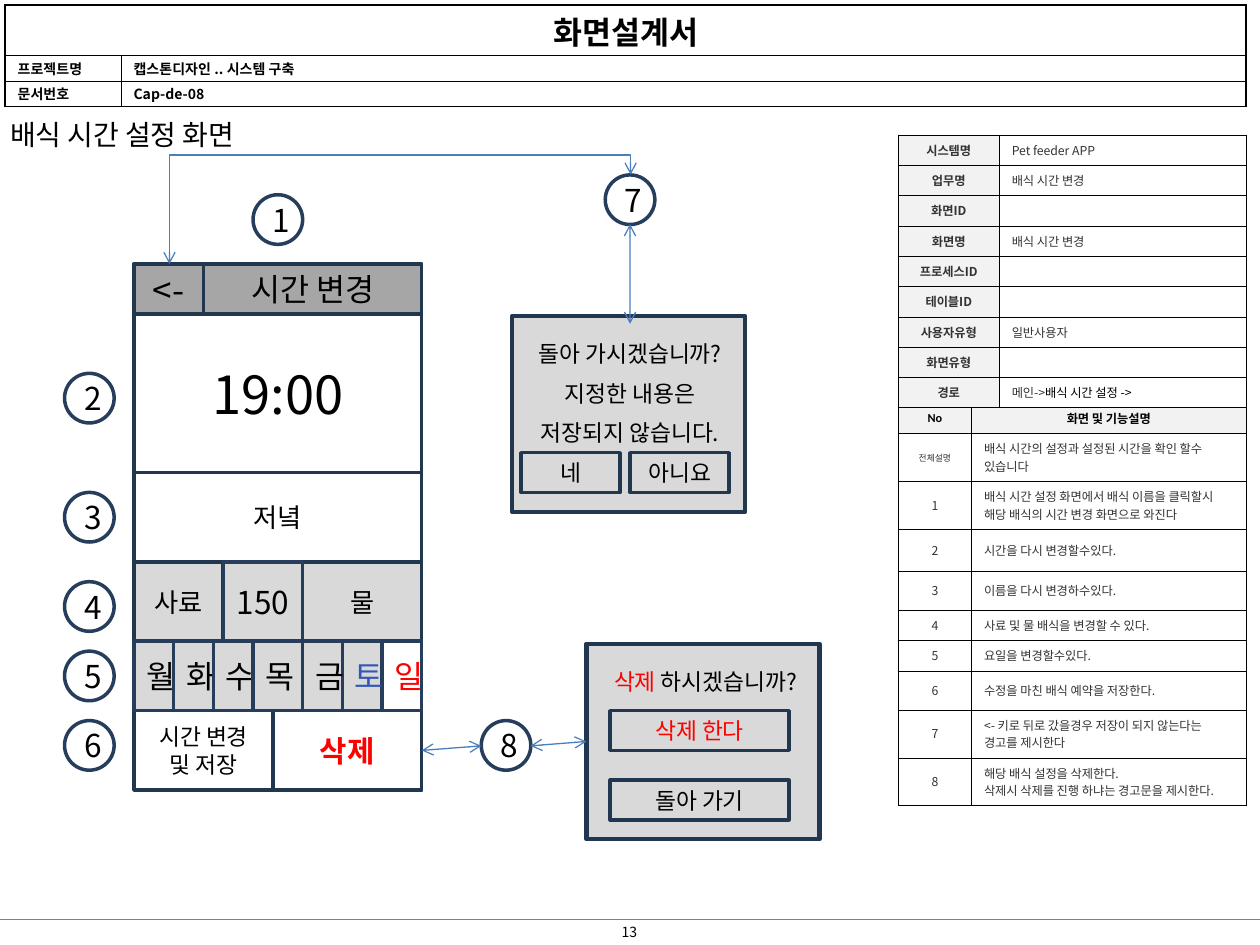
from lxml import etree
from pptx import Presentation
from pptx import util as u
from pptx.dml.color import RGBColor
from pptx.enum import shapes, text
from pptx.oxml.ns import qn

FACE = "Noto Sans CJK KR"
COLORS = {
    "black": "000000", "ink": "333333", "red": "FF0000", "blue": "3057B9",
    "white": "FFFFFF", "head": "F2F2F2", "panel": "D9D9D9", "bar": "A6A6A6",
    "frame": "21364F", "ring": "263E5B", "arrow": "4B7EBC", "rule": "808080",
}
RGB = {name: RGBColor.from_string(value) for name, value in COLORS.items()}
LEFT, CENTER = text.PP_ALIGN.LEFT, text.PP_ALIGN.CENTER
RECT, OVAL = shapes.MSO_SHAPE.RECTANGLE, shapes.MSO_SHAPE.OVAL
STRAIGHT, ELBOW = shapes.MSO_CONNECTOR.STRAIGHT, shapes.MSO_CONNECTOR.ELBOW

deck = Presentation()
deck.slide_width, deck.slide_height = u.Inches(10), u.Inches(7.5)
slide = deck.slides.add_slide(deck.slide_layouts[6])

GRID = u.Mm(2)
X0, Y0 = u.Inches(0.04), u.Inches(0.05)


def write(frame, words, size, color="black", bold=False, align=CENTER, face=FACE):
    frame.word_wrap = True
    frame.text = words
    for paragraph in frame.paragraphs:
        paragraph.alignment = align
        font = paragraph.font
        font.size, font.bold, font.name = u.Pt(size), bold, face
        font.color.rgb = RGB[color]
        etree.SubElement(font._rPr, qn("a:ea"), typeface=FACE)
        if not words:
            paragraph._p.get_or_add_endParaRPr().set("sz", str(size * 100))


def box(kind, col, row, cols, rows, fill, line, weight=2, words="", size=13, color="black", bold=False):
    part = slide.shapes.add_shape(
        kind, X0 + int(col * GRID), Y0 + int(row * GRID), int(cols * GRID), int(rows * GRID))
    part.shadow.inherit = False
    part.fill.solid()
    part.fill.fore_color.rgb = RGB[fill]
    if line:
        part.line.color.rgb = RGB[line]
        part.line.width = u.Pt(weight)
    else:
        part.line.fill.background()
    if words:
        write(part.text_frame, words, size, color, bold)
    return part


summary = [
    ("시스템명", "Pet feeder APP"), ("업무명", "배식 시간 변경"), ("화면ID", ""),
    ("화면명", "배식 시간 변경"), ("프로세스ID", ""), ("테이블ID", ""),
    ("사용자유형", "일반사용자"), ("화면유형", ""), ("경로", "메인->"),
]
features = [
    ("No", "화면 및 기능설명"),
    ("전체설명", "배식 시간의 설정과 설정된 시간을 확인 할수 있습니다"),
    ("1", "배식 시간 설정 화면에서 배식 이름을 클릭할시 해당 배식의 시간 변경 화면으로 와진다"),
    ("2", "시간을 다시 변경할수있다."),
    ("3", "이름을 다시 변경하수있다."),
    ("4", "사료 및 물 배식을 변경할 수 있다."),
    ("5", "요일을 변경할수있다."),
    ("6", "수정을 마친 배식 예약을 저장한다."),
    ("7", "<- 키로 뒤로 갔을경우 저장이 되지 않는다는 경고를 제시한다"),
    ("8", "해당 배식 설정을 삭제한다.\n삭제시 삭제를 진행 하냐는 경고문을 제시한다."),
]
heading = [("화면설계서", ""), ("프로젝트명", "캡스톤디자인 .. 시스템 구축"), ("문서번호", "Cap-de-08")]
tables = [
    ("heading", heading, 0.04, 0.04, [0.92, 8.93], [0.39, 0.17, 0.17], 1, 0.5),
    ("features", features, 7.13, 3.2, [0.58, 2.18],
     [0.24, 0.37, 0.24 + 0.09, 0.33, 0.31, 0.24, 0.23, 0.31, 0.33, 0.33], 0.25, 0.25),
    ("summary", summary, 7.13, 1.07, [0.8, 1.96], [1.93 / 9] * 9, 0.25, 0.25),
]
for role, entries, x, y, widths, heights, outer, inner in tables:
    grid = slide.shapes.add_table(
        len(entries), 2, u.Inches(x), u.Inches(y),
        u.Inches(sum(widths)), u.Inches(sum(heights))).table
    grid.first_row = grid.horz_banding = False
    for column, width in zip(grid.columns, widths):
        column.width = u.Inches(width)
    for r, (entry, height) in enumerate(zip(entries, heights)):
        grid.rows[r].height = u.Inches(height)
        for c, words in enumerate(entry):
            cell = grid.cell(r, c)
            title = role == "heading" and r == 0
            label = (role == "summary" and c == 0) or (role == "features" and r == 0)
            if role == "heading":
                cell.margin_top = cell.margin_bottom = u.Inches(0.02)
                face = "Arial" if c == 0 and r else FACE
                write(cell.text_frame, words, 18 if title else 8, "black", True,
                      CENTER if title else LEFT, face)
            else:
                cell.vertical_anchor = text.MSO_ANCHOR.MIDDLE
                face = ("Calibri", "Arial")[c] if role == "features" and label else FACE
                write(cell.text_frame, words, 5 if words == "전체설명" else 7,
                      "black" if role == "features" and label else "ink", label,
                      CENTER if c == 0 or label else LEFT, face)
            edges = {"a:lnL": c == 0, "a:lnR": c == 1 or title, "a:lnT": r == 0, "a:lnB": False}
            for edge, outside in edges.items():
                border = etree.SubElement(cell._tc.get_or_add_tcPr(), qn(edge),
                                          w=str(u.Pt(outer if outside else inner)))
                paint = etree.SubElement(border, qn("a:solidFill"))
                etree.SubElement(paint, qn("a:srgbClr"), val=COLORS["black"])
            cell.fill.solid()
            cell.fill.fore_color.rgb = RGB["head" if label else "white"]
    if role == "heading":
        grid.cell(0, 0).merge(grid.cell(0, 1))
    if role == "summary":
        route = grid.cell(8, 1).text_frame.paragraphs[0].add_run()
        route.text = "배식 시간 설정 ->"
        route.font.color.rgb = RGB["black"]

captions = [
    ("배식 시간 설정 화면", 0, 0.84, 5.23, 0.4, 16, LEFT, 1.2, 0.08, 0.04),
    ("13", 4.72, 7.28, 0.55, 0.24, 8, CENTER, 1, 0.1, 0.05),
]
for words, x, y, w, h, size, align, spacing, side, edge in captions:
    frame = slide.shapes.add_textbox(*map(u.Inches, (x, y, w, h))).text_frame
    write(frame, words, size, align=align)
    frame.paragraphs[0].line_spacing = spacing
    frame.margin_left = frame.margin_right = u.Inches(side)
    frame.margin_top = frame.margin_bottom = u.Inches(edge)

box(RECT, 13, 26, 29, 53, "white", "frame")
phone = [
    (20, 26, 22, 5, "bar", "시간 변경", 18), (13, 26, 7, 5, "bar", "<-", 20),
    (13, 31, 29, 16, "white", "19:00", 30),
    (13, 56, 9, 8, "panel", "사료", 15), (30, 56, 12, 8, "panel", "물", 15),
    (13, 47, 29, 9, "white", "저녘", 15), (13, 71, 14, 8, "white", "시간 변경\n및 저장", 13),
]
for col, row, cols, rows, fill, words, size in phone:
    box(RECT, col, row, cols, rows, fill, "frame", words=words, size=size)
delete = box(RECT, 27, 71, 15, 8, "white", "frame", words="삭제", size=17, color="red", bold=True)

days = [
    ("월", 13, 4, "panel", "black"), ("화", 17, 4, "panel", "black"),
    ("수", 21, 4, "panel", "black"), ("일", 38, 4, "white", "red"),
    ("토", 34, 4, "panel", "blue"), ("목", 25, 5, "panel", "black"),
    ("금", 30, 4, "panel", "black"),
]
for day, col, cols, fill, color in days:
    box(RECT, col, 64, cols, 7, fill, "ring", words=day, size=18, color=color)
box(RECT, 22, 56, 8, 8, "panel", "ring", words="150", size=18)

markers = [(25, 19), (6, 37), (6, 49), (6, 58), (6, 65), (6, 72), (60.5, 17), (48, 72)]
for number, (col, row) in enumerate(markers, 1):
    box(OVAL, col, row, 5, 5, "white", "ring", words=str(number), size=18)

box(RECT, 51.1, 31.25, 23.5, 19.7, "panel", "frame", 2.5)
prompt = box(RECT, 52, 32, 22, 6, "panel", None, words="돌아 가시겠습니까?")
for row, words in [(37, "지정한 내용은"), (41, "저장되지 않습니다.")]:
    box(RECT, 52, row, 22, 4, "panel", None, words=words)
for col, words in [(63, "아니요"), (52, "네")]:
    box(RECT, col, 45, 10, 4, "panel", "frame", words=words)

confirm = box(RECT, 58.6, 64.25, 23.5, 19.7, "panel", "frame", 2.5)
question = box(RECT, 59.6, 65, 22, 6, "panel", None, words="삭제", color="red")
ending = question.text_frame.paragraphs[0].add_run()
ending.text = " 하시겠습니까?"
ending.font.color.rgb = RGB["black"]
for row, words, color in [(78, "돌아 가기", "black"), (71, "삭제 한다", "red")]:
    box(RECT, 61, row, 18, 4, "panel", "frame", words=words, color=color)

links = [
    (ELBOW, 3.53, 3.57, 2.82, -0.09, None, None, "arrow"),
    (STRAIGHT, 5, 1.78, 5, 2.57, None, (prompt, 0), "arrow"),
    (STRAIGHT, 3.35, 5.95, 3.82, 5.92, (delete, 3), None, "arrow"),
    (STRAIGHT, 4.21, 5.92, 4.65, 5.89, None, (confirm, 1), "arrow"),
    (STRAIGHT, 0, 7.3, 10, 7.3, None, None, "rule"),
]
for kind, x1, y1, x2, y2, start, finish, color in links:
    link = slide.shapes.add_connector(kind, *map(u.Inches, (x1, y1, x2, y2)))
    if start:
        link.begin_connect(*start)
    if finish:
        link.end_connect(*finish)
    link.line.color.rgb = RGB[color]
    link.line.width = u.Pt(0.75)
    properties = link._element.spPr
    if color == "arrow":
        for end in ("a:headEnd", "a:tailEnd"):
            etree.SubElement(properties.find(qn("a:ln")), qn(end), type="arrow")
    etree.SubElement(properties, qn("a:effectLst"))
    if kind == ELBOW:
        properties.find(qn("a:xfrm")).set("rot", "5400000")
        guides = properties.find(qn("a:prstGeom")).find(qn("a:avLst"))
        etree.SubElement(guides, qn("a:gd"), name="adj1", fmla="val 121700")

deck.save("out.pptx")
